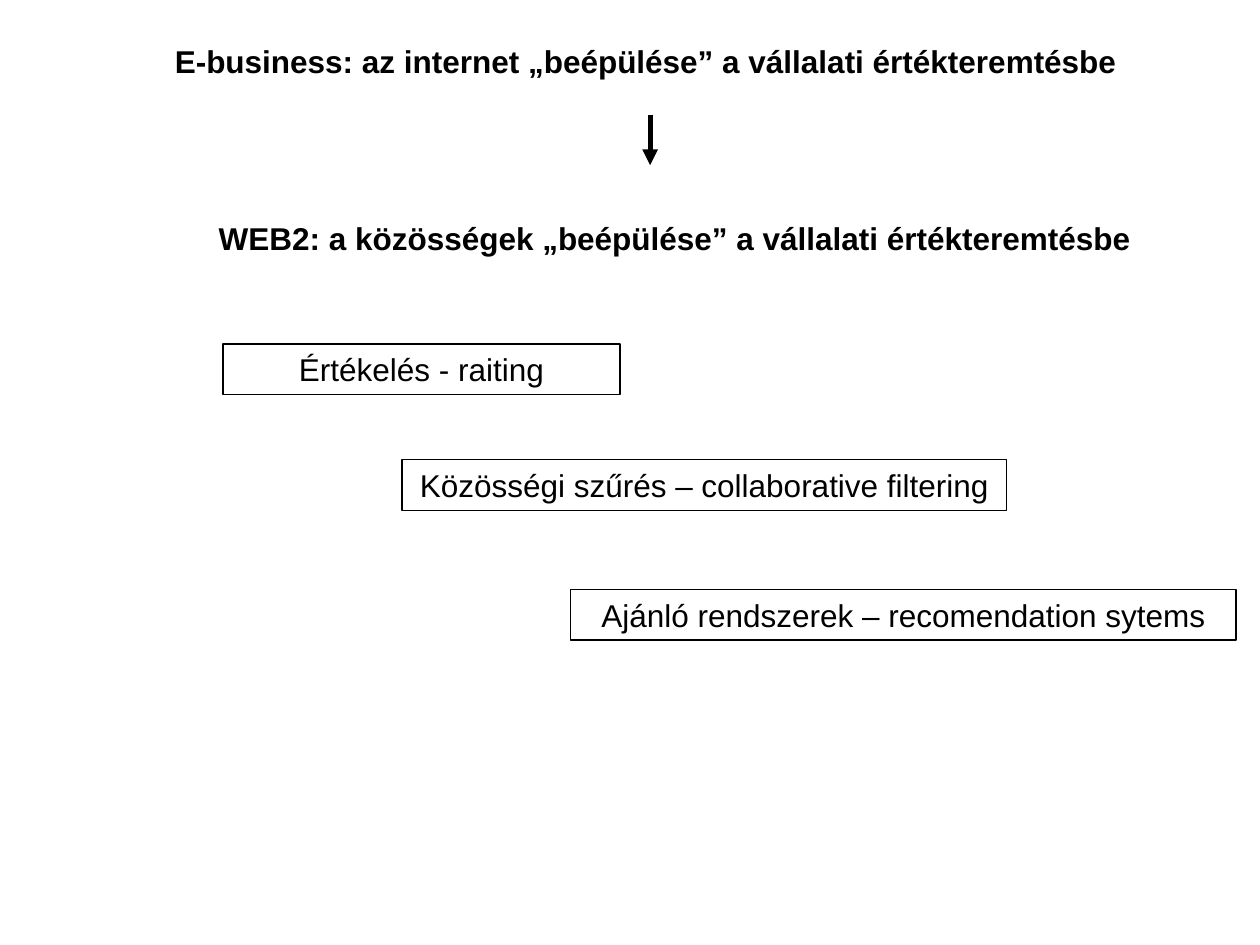
from lxml.etree import SubElement
from pptx import Presentation
from pptx.dml.color import RGBColor
from pptx.enum.shapes import MSO_CONNECTOR, MSO_SHAPE
from pptx.enum.text import MSO_ANCHOR, MSO_AUTO_SIZE, PP_ALIGN
from pptx.oxml.ns import qn
from pptx.util import Inches, Pt

COLS, ROWS = 100, 75  # grid of tenths of an inch


def paint(hue):
    return RGBColor.from_string(hue)


class Deck:
    font, size, ink = "Arial", 18, "000000"
    tall = 4  # rows taken by one line of text

    def __init__(self):
        self.prs = Presentation()
        self.prs.slide_width = Inches(10)
        self.prs.slide_height = Inches(7.5)
        self.slide = self.prs.slides.add_slide(self.prs.slide_layouts[5])

    def x(self, col):
        return round(self.prs.slide_width * col / COLS)

    def y(self, row):
        return round(self.prs.slide_height * row / ROWS)

    def area(self, col, row, wide):
        return self.x(col), self.y(row), self.x(wide), self.y(self.tall)

    def style(self, shape, text, bold=False):
        frame = shape.text_frame
        frame.text = text
        frame.word_wrap = True
        frame.auto_size = MSO_AUTO_SIZE.SHAPE_TO_FIT_TEXT
        frame.vertical_anchor = MSO_ANCHOR.TOP
        frame.margin_left = frame.margin_right = Inches(0.1)
        frame.margin_top = frame.margin_bottom = Inches(0.05)
        para = frame.paragraphs[0]
        para.alignment = PP_ALIGN.CENTER
        para.space_before = Pt(11.2)
        for run in para.runs:
            run.font.name = self.font
            run.font.size = Pt(self.size)
            run.font.bold = bold
            run.font.color.rgb = paint(self.ink)

    def title(self, text, *spot):
        shape = self.slide.shapes.title
        shape.left, shape.top, shape.width, shape.height = self.area(*spot)
        self.style(shape, text, bold=True)

    def label(self, text, *spot):
        shape = self.slide.shapes.add_textbox(*self.area(*spot))
        self.style(shape, text, bold=True)

    def box(self, text, *spot):
        shape = self.slide.shapes.add_shape(MSO_SHAPE.RECTANGLE, *self.area(*spot))
        shape.shadow.inherit = False
        shape.fill.background()
        shape.line.color.rgb = paint(self.ink)
        shape.line.width = Pt(0.75)
        self.style(shape, text)

    def arrow(self, col, top, end):
        link = self.slide.shapes.add_connector(
            MSO_CONNECTOR.STRAIGHT, self.x(col), self.y(top), self.x(col), self.y(end))
        link.line.color.rgb = paint(self.ink)
        link.line.width = Pt(3)
        props = link._element.spPr
        SubElement(props.find(qn("a:ln")), qn("a:tailEnd"), type="triangle")
        SubElement(props, qn("a:effectLst"))


def main():
    deck = Deck()

    # From e-business to Web2
    deck.title("E-business: az internet „beépülése” a vállalati értékteremtésbe",
               8.3, 2.8, 85.9)
    deck.arrow(51.6, 9.1, 13.1)
    deck.label("WEB2: a közösségek „beépülése” a vállalati értékteremtésbe",
               10.6, 16.9, 85.9)

    # Community tools, stepping down to the right
    tools = [
        ("Értékelés - raiting", 17.7, 27.3, 31.5),
        ("Közösségi szűrés – collaborative filtering", 31.9, 36.5, 48),
        ("Ajánló rendszerek – recomendation sytems", 45.3, 46.8, 52.8),
    ]
    for tool in tools:
        deck.box(*tool)

    deck.prs.save("out.pptx")


if __name__ == "__main__":
    main()
